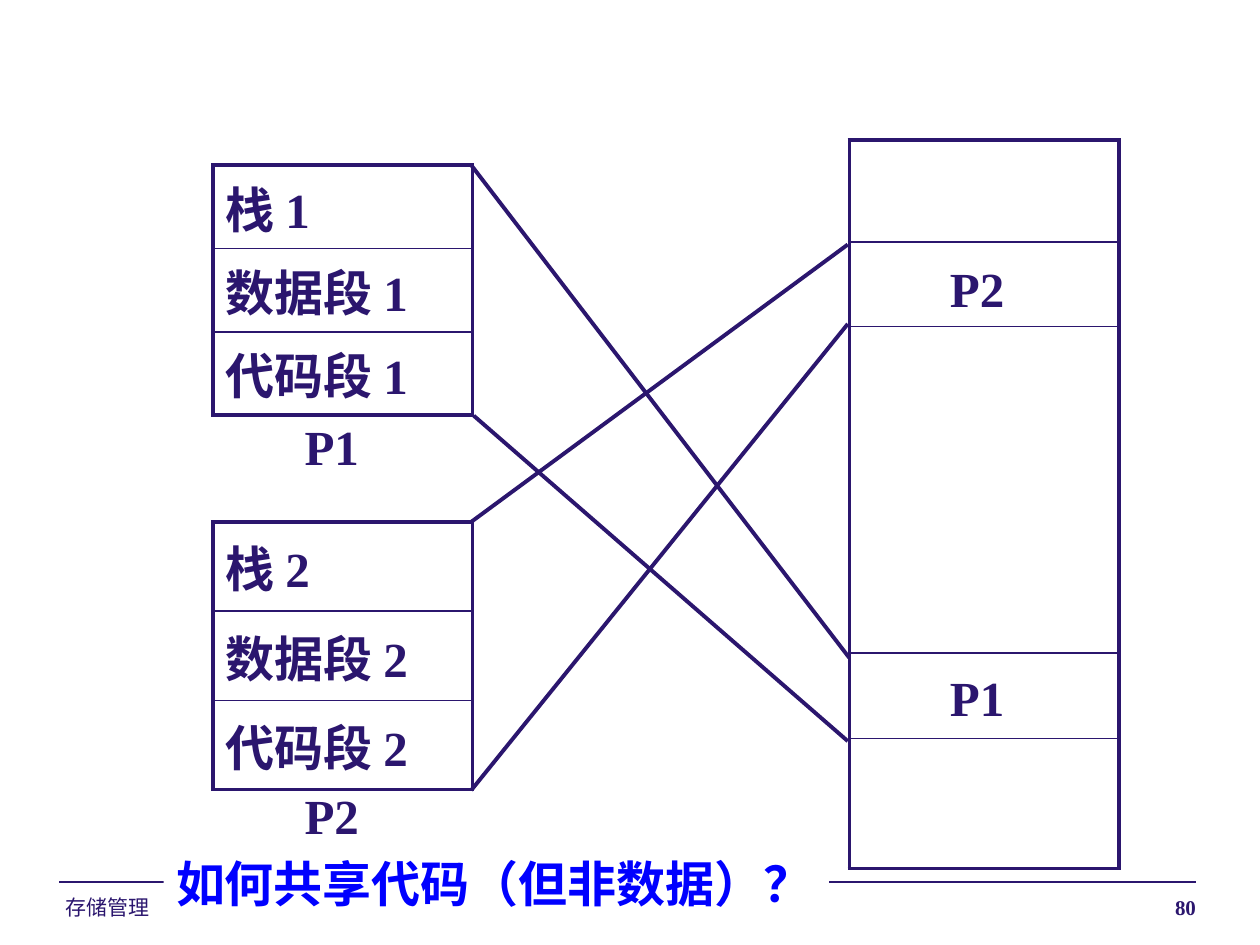
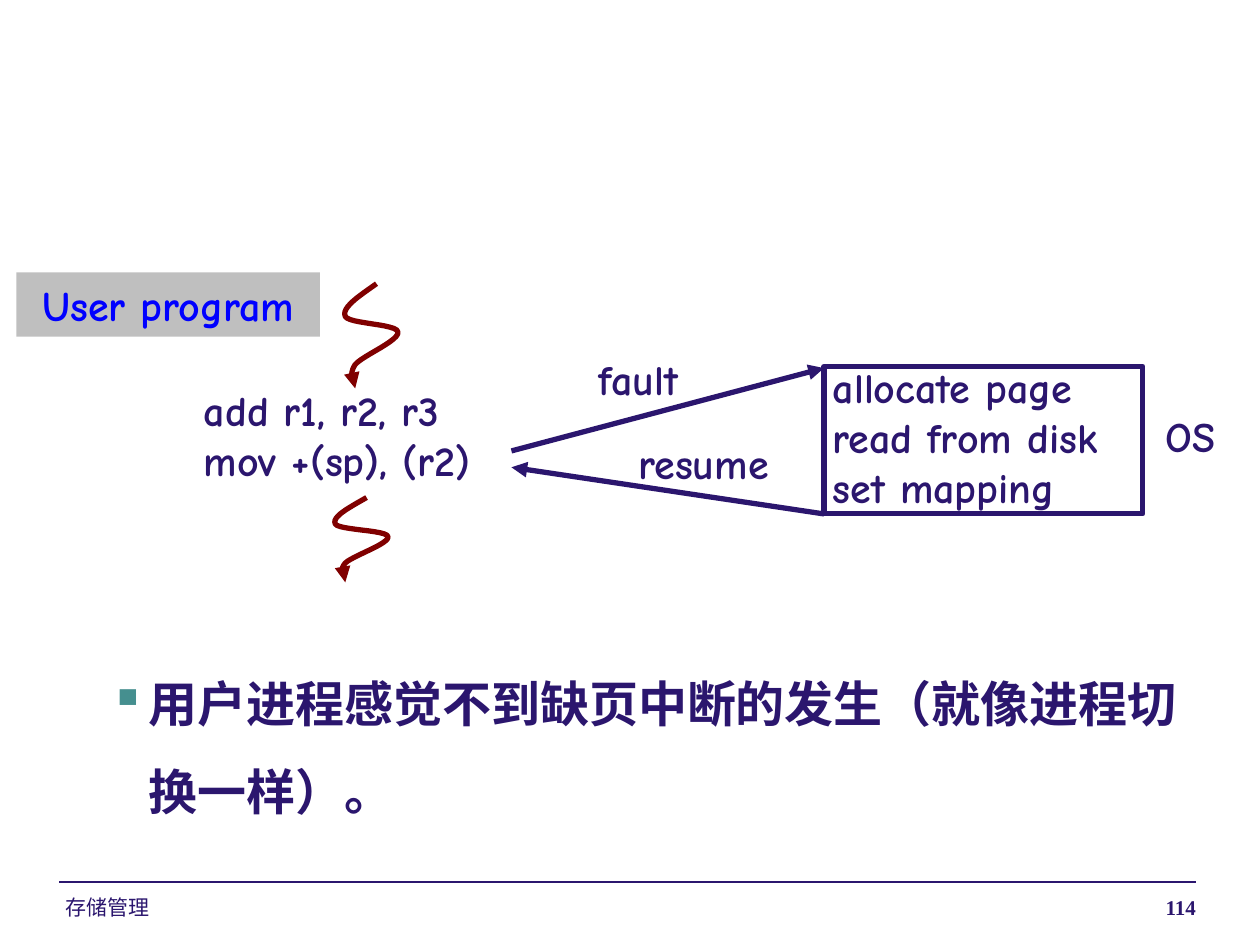
import pptx
import pptx.chart.data
import pptx.dml.color
import pptx.enum.shapes
import pptx.enum.text
import pptx.oxml
import pptx.oxml.ns
import pptx.util
from lxml import etree

Cm = pptx.util.Cm
Pt = pptx.util.Pt
qn = pptx.oxml.ns.qn
ALIGN = pptx.enum.text.PP_ALIGN
ANCHOR = pptx.enum.text.MSO_ANCHOR

COLORS = {"ink": "2B166E", "blue": "0000FF", "grey": "BFBFBF", "white": "FFFFFF",
          "red": "800000", "bullet": "458F8F"}
SERIF, SANS, COMIC, CHINESE = "Times New Roman", "Arial", "Comic Neue", "Noto Sans CJK SC"

FOOTER = "存储管理"
FOOTER_Y, FOOTER_LEFT, FOOTER_RIGHT = 17.78, 1.19, 24.1

TABLE_X, TABLE_WIDTH = 4.29, 5.23
PROCESSES = [
    (3.33, 1.68, ["栈 1", "数据段 1", "代码段 1"]),
    (10.52, 1.8, ["栈 2", "数据段 2", "代码段 2"]),
]
MEMORY_X, MEMORY_Y, MEMORY_WIDTH = 17.12, 2.82, 5.44
MEMORY_ROWS = [2.06, 1.7, 6.58, 1.73, 2.62]
MAPPINGS = [
    ((9.5, 3.33), (17.12, 13.26)),
    ((9.55, 8.38), (17.09, 14.94)),
    ((9.5, 10.52), (17.09, 4.93)),
    ((9.5, 15.93), (17.09, 6.53)),
]
PROCESS_LABELS = [("P1", 5.89, 8.28), ("P1", 18.9, 13.34), ("P2", 5.89, 15.72), ("P2", 18.9, 5.08)]
QUESTION = "如何共享代码（但非数据）？"

CONCLUSION = "用户进程感觉不到缺页中断的发生（就像进程切换一样）。"
FAULT_LABELS = [
    (["add r1, r2, r3", "mov +(sp), (r2)"], (3.86, 7.62, 6.65, 2.29), ALIGN.LEFT),
    (["fault"], (11.63, 6.99, 2.49, 1.27), ALIGN.CENTER),
    (["allocate page", "read from disk", "set mapping"], (16.54, 7.14, 6.71, 3.33), ALIGN.LEFT),
    (["OS"], (23.11, 8.15, 1.78, 1.27), ALIGN.CENTER),
    (["resume"], (12.5, 8.69, 3.38, 1.27), ALIGN.CENTER),
]
HANDLER_BOX = (16.61, 7.39, 6.43, 2.97)
FAULT_ARROWS = [((10.31, 9.09), (16.61, 7.42)), ((16.61, 10.36), (10.31, 9.42))]
SQUIGGLE = [(0.71, 0), (0.36, 0.25), (0, 0.48), (0.08, 0.66), (0.15, 0.81), (1.12, 0.81), (1.14, 0.97),
            (1.19, 1.14), (0.43, 1.45), (0.28, 1.63), (0.15, 1.83), (0.23, 1.96), (0.28, 2.11)]
SQUIGGLE_PLACES = [(6.88, 5.72, 1), (6.68, 10.03, 0.81)]


def rgb(color):
    return pptx.dml.color.RGBColor.from_string(COLORS[color])


def lengths(values):
    return [Cm(value) for value in values]


def style_paragraph(paragraph, size, font, color="ink", bold=True, align=None):
    paragraph.font.size = Pt(size)
    paragraph.font.name = font
    paragraph.font.bold = bold
    paragraph.font.color.rgb = rgb(color)
    paragraph.alignment = align


def write(shape, lines, size, font, color="ink", bold=True, align=None, anchor=ANCHOR.TOP, wrap=False):
    frame = shape.text_frame
    frame.word_wrap = wrap
    frame.vertical_anchor = anchor
    if not wrap:
        frame.auto_size = pptx.enum.text.MSO_AUTO_SIZE.SHAPE_TO_FIT_TEXT
    frame.text = "\n".join(lines)
    for paragraph in frame.paragraphs:
        style_paragraph(paragraph, size, font, color, bold, align)


def add_text(slide, box, lines, size, font, **options):
    shape = slide.shapes.add_textbox(*lengths(box))
    write(shape, lines, size, font, **options)
    return shape


def add_rectangle(slide, box, fill=None, line_width=None):
    shape = slide.shapes.add_shape(pptx.enum.shapes.MSO_SHAPE.RECTANGLE, *lengths(box))
    shape.shadow.inherit = False
    if fill:
        shape.fill.solid()
        shape.fill.fore_color.rgb = rgb(fill)
    else:
        shape.fill.background()
    if line_width:
        set_line(shape, line_width)
    else:
        shape.line.fill.background()
    return shape


def set_line(shape, width, color="ink", arrow=False):
    shape.line.width = Pt(width)
    shape.line.color.rgb = rgb(color)
    if arrow:
        etree.SubElement(shape.line._get_or_add_ln(), qn("a:tailEnd"), type="triangle")


def add_line(slide, start, end, width, arrow=False):
    connector = slide.shapes.add_connector(
        pptx.enum.shapes.MSO_CONNECTOR.STRAIGHT, *lengths(start + end))
    set_line(connector, width, arrow=arrow)
    etree.SubElement(connector._element.spPr, qn("a:effectLst"))
    return connector


def set_borders(cell, top, bottom):
    properties = cell._tc.get_or_add_tcPr()
    for index, (side, width) in enumerate([("L", 2.25), ("R", 2.25), ("T", top), ("B", bottom)]):
        line = etree.Element(qn("a:ln" + side), w=str(Pt(width)))
        fill = etree.SubElement(line, qn("a:solidFill"))
        etree.SubElement(fill, qn("a:srgbClr"), val=COLORS["ink"])
        properties.insert(index, line)


def add_segments(slide, x, y, width, heights, texts):
    frame = slide.shapes.add_table(len(heights), 1, *lengths((x, y, width, sum(heights))))
    table = frame.table
    table.first_row = table.horz_banding = False
    last = len(heights) - 1
    for index, (height, text) in enumerate(zip(heights, texts)):
        table.rows[index].height = Cm(height)
        cell = table.cell(index, 0)
        cell.fill.background()
        cell.vertical_anchor = ANCHOR.MIDDLE
        set_borders(cell, 2.25 if index == 0 else 1, 2.25 if index == last else 1)
        cell.text = text
        paragraph = cell.text_frame.paragraphs[0]
        style_paragraph(paragraph, 28, SERIF)
        paragraph.space_before = Pt(5.6)


def curve_points(points, steps=12):
    for first in range(0, len(points) - 1, 3):
        a, b, c, d = points[first:first + 4]
        for step in range(1, steps + 1):
            t = step / steps
            u = 1 - t
            yield tuple(u**3 * a[k] + 3 * u * u * t * b[k] + 3 * u * t * t * c[k] + t**3 * d[k]
                        for k in (0, 1))


def add_squiggle(slide, x, y, stretch):
    points = [(Cm(x + px), Cm(y + py * stretch)) for px, py in SQUIGGLE]
    builder = slide.shapes.build_freeform(*points[0])
    builder.add_line_segments(list(curve_points(points)), close=False)
    shape = builder.convert_to_shape()
    shape.shadow.inherit = False
    shape.fill.background()
    set_line(shape, 3, "red", arrow=True)


def add_page(presentation, number):
    slide = presentation.slides.add_slide(presentation.slide_layouts[6])
    add_line(slide, (FOOTER_LEFT, FOOTER_Y), (FOOTER_RIGHT, FOOTER_Y), 0.75)
    add_text(slide, (1.07, 17.91, 5.92, 0.61), [FOOTER], 12, SANS, bold=False, wrap=True)
    add_text(slide, (16.31, 17.91, 8.05, 0.61), [number], 12, SERIF, align=ALIGN.RIGHT, wrap=True)
    return slide


def build_sharing(presentation):
    slide = add_page(presentation, "80")
    for y, height, texts in PROCESSES:
        add_segments(slide, TABLE_X, y, TABLE_WIDTH, [height] * len(texts), texts)
    add_segments(slide, MEMORY_X, MEMORY_Y, MEMORY_WIDTH, MEMORY_ROWS, [""] * len(MEMORY_ROWS))
    for start, end in MAPPINGS:
        add_line(slide, start, end, 2.25)
    question = add_rectangle(slide, (3.3, 17.09, 13.41, 1.45), fill="white")
    write(question, [QUESTION], 28, SERIF, color="blue", align=ALIGN.LEFT)
    for text, x, y in PROCESS_LABELS:
        add_text(slide, (x, y, 1.6, 1.45), [text], 28, SERIF)


def build_page_fault(presentation):
    slide = add_page(presentation, "114")
    body = add_text(slide, (0.69, 12.85, 23.32, 3.68), [CONCLUSION], 28, CHINESE, wrap=True)
    paragraph = body.text_frame.paragraphs[0]
    paragraph.line_spacing = 1.5
    paragraph.space_before = Pt(5.6)
    properties = paragraph._p.get_or_add_pPr()
    properties.set("marL", str(Cm(2.06)))
    properties.set("indent", str(Cm(-0.79)))
    bullet_color = etree.Element(qn("a:buClr"))
    etree.SubElement(bullet_color, qn("a:srgbClr"), val=COLORS["bullet"])
    bullet = etree.Element(qn("a:buChar"), char="▪")
    defaults = properties.find(qn("a:defRPr"))
    defaults.addprevious(bullet_color)
    defaults.addprevious(bullet)

    for place in SQUIGGLE_PLACES:
        add_squiggle(slide, *place)
    for lines, box, align in FAULT_LABELS:
        add_text(slide, box, lines, 24, COMIC, align=align, anchor=ANCHOR.MIDDLE)
    add_rectangle(slide, HANDLER_BOX, line_width=3)
    program = add_rectangle(slide, (0.33, 5.49, 6.12, 1.3), fill="grey")
    write(program, ["User program"], 24, COMIC, color="blue", align=ALIGN.CENTER, anchor=ANCHOR.MIDDLE)
    for start, end in FAULT_ARROWS:
        add_line(slide, start, end, 3, arrow=True)


def main():
    presentation = pptx.Presentation()
    presentation.slide_width = Cm(25.4)
    presentation.slide_height = Cm(19.05)
    build_sharing(presentation)
    build_page_fault(presentation)
    presentation.save("out.pptx")


if __name__ == "__main__":
    main()
